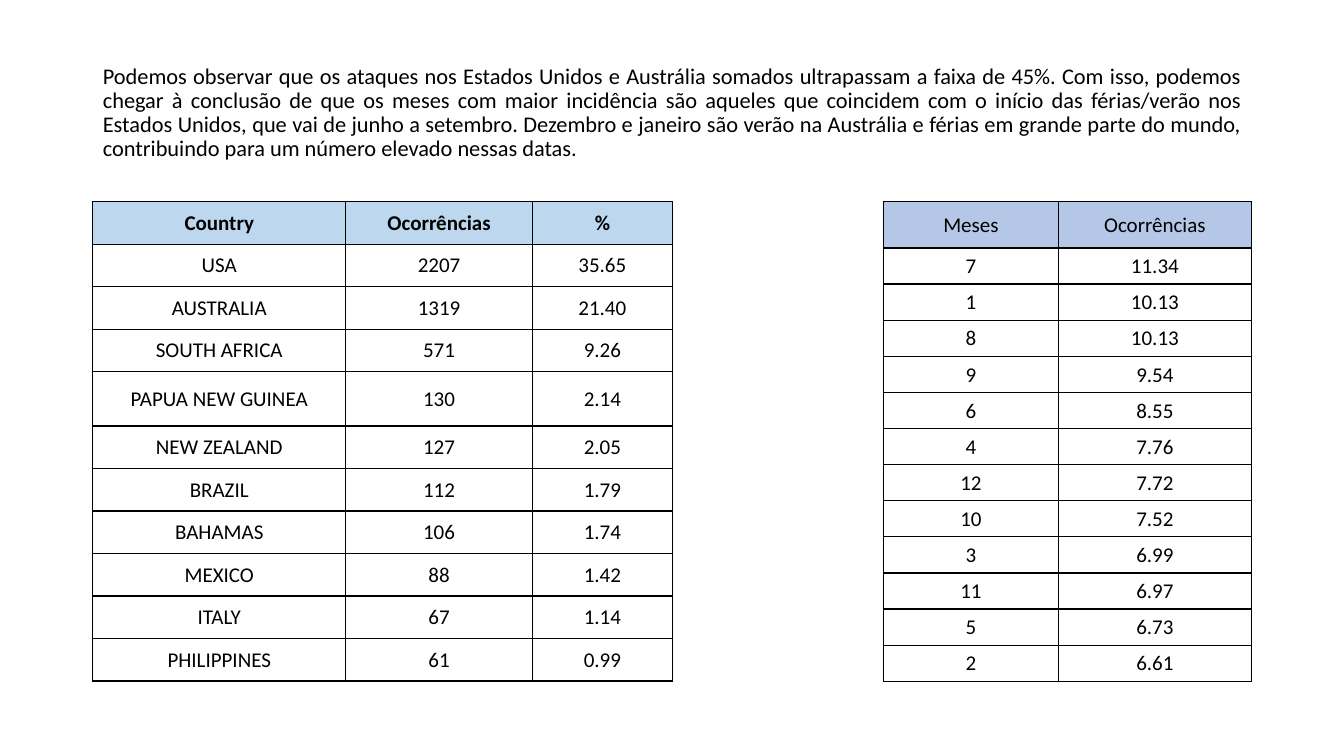
"""Build the slide on attacks by country and by month."""
from lxml import etree
from pptx import Presentation
from pptx.dml.color import RGBColor
from pptx.enum.text import MSO_ANCHOR, MSO_AUTO_SIZE, PP_ALIGN
from pptx.oxml.ns import qn
from pptx.util import Inches, Pt

MIDDLE = MSO_ANCHOR.MIDDLE
NO_AUTOFIT = MSO_AUTO_SIZE.NONE
CENTER = PP_ALIGN.CENTER
JUSTIFY = PP_ALIGN.JUSTIFY
BLACK = RGBColor(0x00, 0x00, 0x00)
COUNTRY_BLUE = RGBColor(0xBD, 0xD7, 0xEE)
MONTH_BLUE = RGBColor(0xB4, 0xC7, 0xE7)

LEFT, RIGHT = 0.92, 12.42
TABLE_TOP, TABLE_HEIGHT = 2, 4.76

CONCLUSION = (
    "Podemos observar que os ataques nos Estados Unidos e Austrália somados "
    "ultrapassam a faixa de 45%. Com isso, podemos chegar à conclusão de que os "
    "meses com maior incidência são aqueles que coincidem com o início das "
    "férias/verão nos Estados Unidos, que vai de junho a setembro. Dezembro e "
    "janeiro são verão na Austrália e férias em grande parte do mundo, "
    "contribuindo para um número elevado nessas datas."
)
MONTHS = [
    ("Meses", "Ocorrências"),
    ("7", "11.34"),
    ("1", "10.13"),
    ("8", "10.13"),
    ("9", "9.54"),
    ("6", "8.55"),
    ("4", "7.76"),
    ("12", "7.72"),
    ("10", "7.52"),
    ("3", "6.99"),
    ("11", "6.97"),
    ("5", "6.73"),
    ("2", "6.61"),
]
COUNTRIES = [
    ("Country", "Ocorrências", "%"),
    ("USA", "2207", "35.65"),
    ("AUSTRALIA", "1319", "21.40"),
    ("SOUTH AFRICA", "571", "9.26"),
    ("PAPUA NEW GUINEA", "130", "2.14"),
    ("NEW ZEALAND", "127", "2.05"),
    ("BRAZIL", "112", "1.79"),
    ("BAHAMAS", "106", "1.74"),
    ("MEXICO", "88", "1.42"),
    ("ITALY", "67", "1.14"),
    ("PHILIPPINES", "61", "0.99"),
]


def style_text(paragraph, size, align, bold=False):
    paragraph.alignment = align
    for run in paragraph.runs:
        run.font.name = "Calibri"
        run.font.size = Pt(size)
        run.font.bold = bold
        run.font.color.rgb = BLACK


def add_borders(cell):
    properties = cell._tc.get_or_add_tcPr()
    for side in ("lnL", "lnR", "lnT", "lnB"):
        line = etree.SubElement(properties, qn(f"a:{side}"), w=str(Pt(1)))
        fill = etree.SubElement(line, qn("a:solidFill"))
        etree.SubElement(fill, qn("a:srgbClr"), val=str(BLACK))


prs = Presentation()
prs.slide_width = Inches(13.33)
prs.slide_height = Inches(7.5)
slide = prs.slides.add_slide(prs.slide_layouts.get_by_name("Title Only"))

conclusion = slide.shapes.title
conclusion.left, conclusion.top = Inches(LEFT), Inches(0.4)
conclusion.width, conclusion.height = Inches(RIGHT - LEFT), Inches(1.45)
conclusion_frame = conclusion.text_frame
conclusion_frame.text = CONCLUSION
conclusion_frame.word_wrap = True
conclusion_frame.auto_size = NO_AUTOFIT
conclusion_frame.vertical_anchor = MIDDLE
conclusion_frame.paragraphs[0].line_spacing = 0.9
style_text(conclusion_frame.paragraphs[0], 16, JUSTIFY)

month_columns = (1.74, 1.91)
country_columns = (2.51, 1.85, 1.39)
tables = [
    (MONTHS, 8.76, month_columns, 0, 0.46, MONTH_BLUE, False),
    (COUNTRIES, LEFT, country_columns, 4, 0.54, COUNTRY_BLUE, True),
]
for rows, left, columns, tall_row, tall_height, header_fill, bold_header in tables:
    table = slide.shapes.add_table(
        len(rows), len(columns), Inches(left), Inches(TABLE_TOP),
        Inches(sum(columns)), Inches(TABLE_HEIGHT),
    ).table
    table.first_row = False
    table.horz_banding = False
    for column, width in zip(table.columns, columns):
        column.width = Inches(width)
    regular_height = (TABLE_HEIGHT - tall_height) / (len(rows) - 1)
    for r, values in enumerate(rows):
        table.rows[r].height = Inches(tall_height if r == tall_row else regular_height)
        for c, value in enumerate(values):
            cell = table.cell(r, c)
            cell.text_frame.text = value
            cell.vertical_anchor = MIDDLE
            cell.margin_left = cell.margin_right = cell.margin_top = Inches(0.01)
            cell.margin_bottom = 0
            style_text(cell.text_frame.paragraphs[0], 15, CENTER, bold_header and r == 0)
            add_borders(cell)
            if r == 0:
                cell.fill.solid()
                cell.fill.fore_color.rgb = header_fill
            else:
                cell.fill.background()

prs.save("out.pptx")
